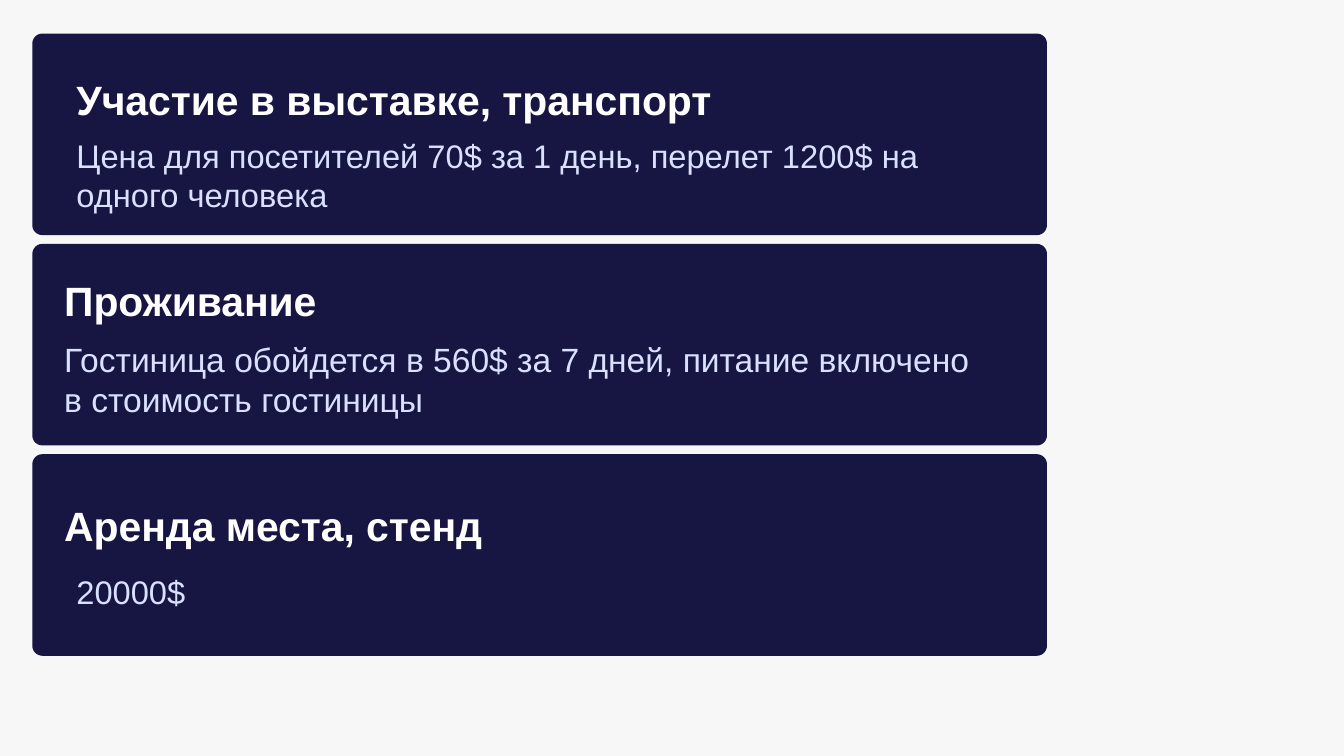
from pptx import Presentation
from pptx.dml.color import RGBColor
from pptx.enum import shapes, text
from pptx.util import Inches, Pt

BACKGROUND = "F8F7F7"
NAVY = "171542"
WHITE = "FFFFFF"
LAVENDER = "D9E1FF"

CARD_LEFT, CARD_TOP, LAST_CARD_TOP = 0.24, 0.25, 3.38
CARD_WIDTH, CARD_HEIGHT = 7.55, 1.5
CARD_COUNT = 3
CARD_PITCH = (LAST_CARD_TOP - CARD_TOP) / (CARD_COUNT - 1)


def paint(fill, color):
    fill.solid()
    fill.fore_color.rgb = RGBColor.from_string(color)


def add_card(slide, index):
    card = slide.shapes.add_shape(
        shapes.MSO_SHAPE.ROUNDED_RECTANGLE,
        Inches(CARD_LEFT), Inches(CARD_TOP + index * CARD_PITCH),
        Inches(CARD_WIDTH), Inches(CARD_HEIGHT))
    card.adjustments[0] = 0.05
    card.shadow.inherit = False
    paint(card.fill, NAVY)
    card.line.fill.background()


def add_text(slide, box, lines, size, color, bold=False, spacing=None, wrap=False):
    frame = slide.shapes.add_textbox(*map(Inches, box)).text_frame
    frame.word_wrap = wrap
    frame.auto_size = text.MSO_AUTO_SIZE.NONE
    frame.text = "\n".join(lines)
    for paragraph in frame.paragraphs:
        paragraph.font.name = "Arial"
        paragraph.font.size = Pt(size)
        paragraph.font.bold = bold
        paragraph.font.color.rgb = RGBColor.from_string(color)
        if spacing:
            paragraph.line_spacing = Pt(spacing)


def add_heading(slide, box, heading):
    add_text(slide, box, [heading], 21.87, WHITE, bold=True, spacing=27.3)


def add_details(slide, box, lines, size=17.5, **layout):
    add_text(slide, box, lines, size, LAVENDER, **layout)


def main():
    deck = Presentation()
    deck.slide_width = Inches(10)
    deck.slide_height = deck.slide_width * 9 // 16
    slide = deck.slides.add_slide(deck.slide_layouts[6])
    paint(slide.background.fill, BACKGROUND)

    for index in range(CARD_COUNT):
        add_card(slide, index)

    add_heading(slide, (0.47, 0.49, 4.22, 0.38), "Участие в выставке, транспорт")
    add_details(slide, (0.47, 0.96, 7.22, 0.68),
                ["Цена для посетителей 70$ за 1 день, перелет 1200$ на",
                 "одного человека"])

    add_heading(slide, (0.38, 1.99, 3.33, 0.38), "Проживание")
    add_details(slide, (0.38, 2.47, 7.04, 1.01),
                ["Гостиница обойдется в 560$ за 7 дней, питание включено "
                 "в стоимость гостиницы"], size=18, wrap=True)

    add_heading(slide, (0.38, 3.66, 6.63, 0.38), "Аренда места, стенд")
    add_details(slide, (0.47, 4.11, 2.03, 0.39), ["20000$"], spacing=28)

    deck.save("out.pptx")


if __name__ == "__main__":
    main()
